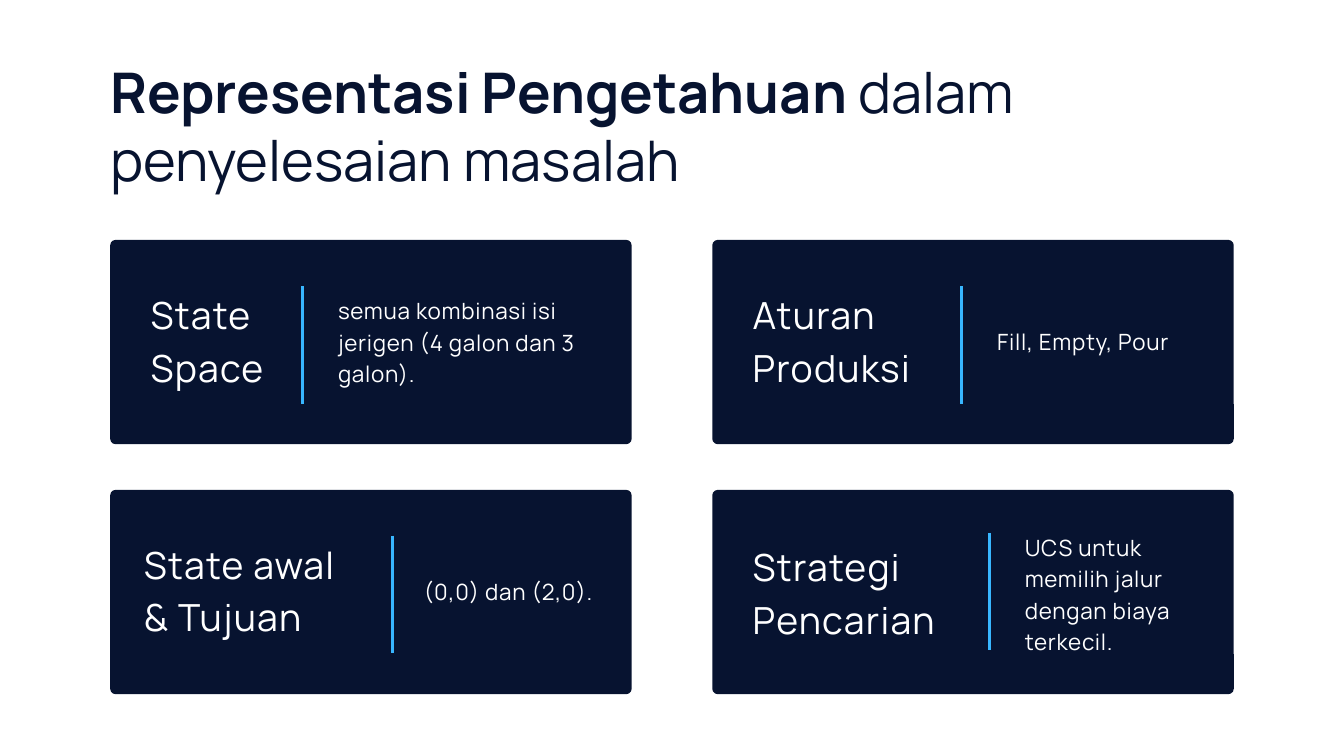
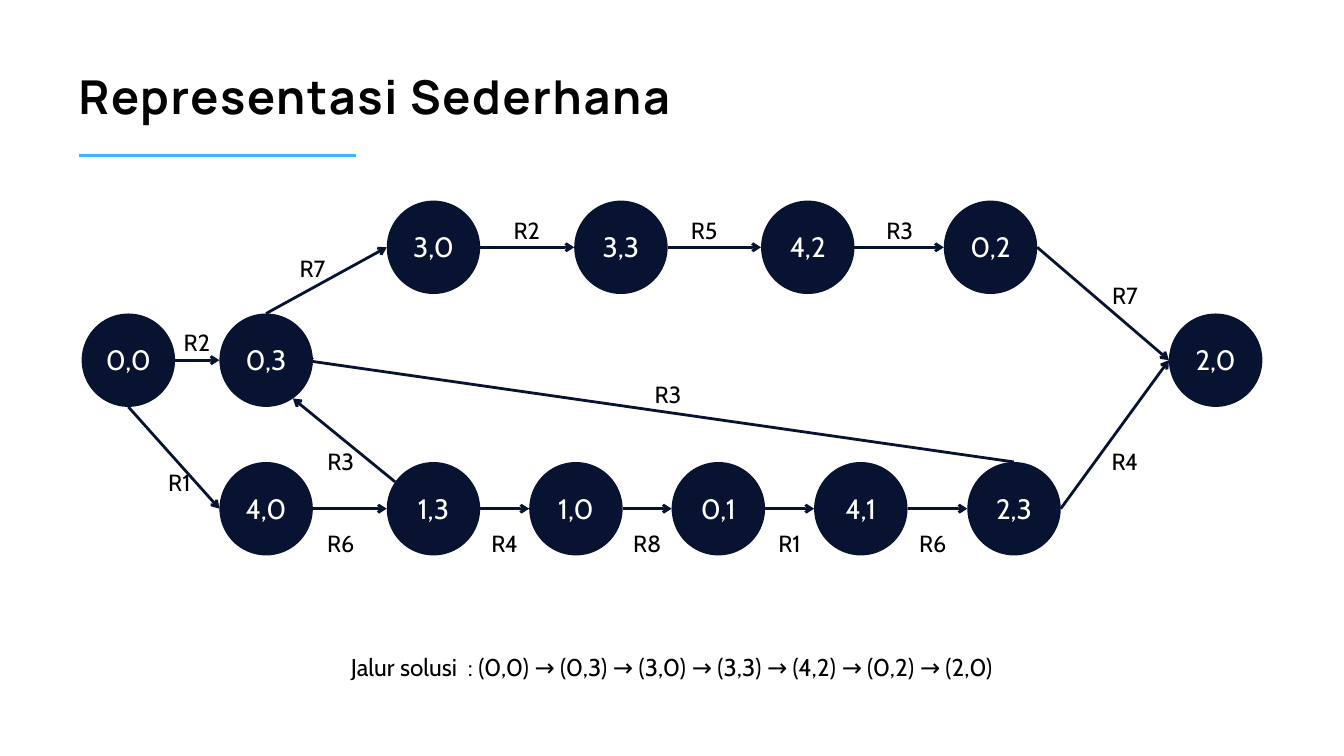
"""Build two slides on knowledge representation and a state graph."""
import math

import pptx
import pptx.dml.color
import pptx.enum.shapes
import pptx.enum.text
import pptx.oxml.ns
import pptx.util
from lxml import etree

Inches = pptx.util.Inches
Pt = pptx.util.Pt
RGBColor = pptx.dml.color.RGBColor
Shape = pptx.enum.shapes.MSO_SHAPE
Align = pptx.enum.text.PP_ALIGN
Anchor = pptx.enum.text.MSO_ANCHOR
qn = pptx.oxml.ns.qn

NAVY = RGBColor(0x07, 0x13, 0x30)
SKY = RGBColor(0x38, 0xB6, 0xFF)
WHITE = RGBColor(0xFF, 0xFF, 0xFF)
BLACK = RGBColor(0, 0, 0)

LEFT, CENTER = Align.LEFT, Align.CENTER
HEAD = {"font": {"name": "Manrope", "size": Pt(60)}, "color": NAVY,
        "lead": 72.6, "align": LEFT}
SUB = {"font": {"name": "Manrope", "size": Pt(50), "bold": True},
       "color": BLACK, "lead": 70, "align": LEFT, "track": 180}
TERM = {"font": {"name": "Manrope", "size": Pt(40)}, "color": WHITE,
        "lead": 56, "align": LEFT, "track": 140}
BODY = {"font": {"name": "Manrope", "size": Pt(24)}, "color": WHITE,
        "lead": 33.6, "align": LEFT, "track": 80}
STATE = {"font": {"name": "Cabin", "size": Pt(30)}, "color": WHITE,
         "lead": 42, "align": CENTER}
RULE = {"font": {"name": "Cabin", "size": Pt(25)}, "color": BLACK,
        "lead": 35, "align": CENTER}
ROUTE = {"font": {"name": "Cabin", "size": Pt(26)}, "color": BLACK,
         "lead": 36.4, "align": CENTER}

CARD_W, CARD_H = 7.76, 3.04
CARD_X, CARD_Y = (1.64, 10.6), (3.57, 7.29)
BAR_H = 1.75

CARDS = [
    (0, 0, "State Space", (2.24, 4.24, 1.97, 1.57), (4.5, 4.26),
     "semua kombinasi isi jerigen (4 galon dan 3 galon).",
     (5.03, 4.36, 4.11, 1.38)),
    (1, 0, "Aturan Produksi", (11.2, 4.24, 2.64, 1.57), (14.31, 4.26),
     "Fill, Empty, Pour", (14.84, 4.82, 2.9, 0.46)),
    (0, 1, "State awal & Tujuan", (2.14, 7.96, 3.31, 1.57), (5.84, 7.97),
     "(0,0) dan (2,0).", (6.31, 8.54, 2.73, 0.46)),
    (1, 1, "Strategi Pencarian", (11.2, 7.99, 3.11, 1.57), (14.72, 7.93),
     "UCS untuk memilih jalur dengan biaya terkecil.",
     (15.25, 7.88, 2.62, 1.84)),
]

RADIUS = 0.695
TOP, MID, LOW = 3.68, 5.36, 7.57
NODES = {
    "0,0": (1.91, MID), "4,0": (3.96, LOW), "0,3": (3.96, MID),
    "1,3": (6.45, LOW), "3,0": (6.45, TOP), "1,0": (8.57, LOW),
    "3,3": (9.24, TOP), "0,1": (10.69, LOW), "4,2": (12.02, TOP),
    "4,1": (12.81, LOW), "0,2": (14.74, TOP), "2,3": (15.09, LOW),
    "2,0": (18.09, MID),
}
EAST, SOUTH, WEST, NORTH = 0, 90, 180, 270
OVER, UNDER = 3.37, 8.04
EDGES = [
    ("0,0", EAST, "0,3", WEST, "R2", (2.93, 5.05)),
    ("0,0", SOUTH, "4,0", WEST, "R1", (2.67, 7.12)),
    ("0,3", NORTH, "3,0", WEST, "R7", (4.65, 3.94)),
    ("3,0", EAST, "3,3", WEST, "R2", (7.84, OVER)),
    ("3,3", EAST, "4,2", WEST, "R5", (10.48, OVER)),
    ("4,2", EAST, "0,2", WEST, "R3", (13.39, OVER)),
    ("0,2", EAST, "2,0", WEST, "R7", (16.74, 4.34)),
    ("4,0", EAST, "1,3", WEST, "R6", (5.07, UNDER)),
    ("1,3", EAST, "1,0", WEST, "R4", (7.51, UNDER)),
    ("1,0", EAST, "0,1", WEST, "R8", (9.63, UNDER)),
    ("0,1", EAST, "4,1", WEST, "R1", (11.75, UNDER)),
    ("4,1", EAST, "2,3", WEST, "R6", (13.88, UNDER)),
    ("2,3", EAST, "2,0", WEST, "R4", (16.74, 6.81)),
    ("1,3", 215, "0,3", 55, "R3", (5.07, 6.81)),
]


def write(frame, runs, look, anchor=Anchor.TOP, pad=(0, 0, 0, 0), wrap=True):
    """Fill a text frame with runs of (text, extra font values)."""
    sides = ("left", "top", "right", "bottom")
    values = {"margin_" + s: Inches(p) for s, p in zip(sides, pad)}
    values.update(auto_size=pptx.enum.text.MSO_AUTO_SIZE.NONE,
                  vertical_anchor=anchor, word_wrap=wrap)
    for key, value in values.items():
        setattr(frame, key, value)
    para = frame.paragraphs[0]
    para.alignment = look["align"]
    para.line_spacing = Pt(look["lead"])
    for text, extra in runs:
        run = para.add_run()
        run.text = text
        for key, value in {**look["font"], **extra}.items():
            setattr(run.font, key, value)
        run.font.color.rgb = look["color"]
        if "track" in look:
            run._r.get_or_add_rPr().set("spc", str(look["track"]))


def add_text(slide, box, text, look, wrap=True):
    """Add a text box without insets."""
    shape = slide.shapes.add_textbox(*map(Inches, box))
    write(shape.text_frame, [(text, {})], look, wrap=wrap)


def add_title(slide, box, runs, look):
    """Place and fill the title placeholder."""
    title = slide.shapes.title
    for key, value in zip(("left", "top", "width", "height"), box):
        setattr(title, key, Inches(value))
    write(title.text_frame, runs, look)


def add_solid(slide, kind, box):
    """Add a plain navy shape."""
    shape = slide.shapes.add_shape(kind, *map(Inches, box))
    shape.shadow.inherit = False
    shape.fill.solid()
    shape.fill.fore_color.rgb = NAVY
    shape.line.fill.background()
    return shape


def add_line(slide, start, end, color, arrow=False):
    """Add a straight line, with an arrowhead at its end if asked."""
    line = slide.shapes.add_connector(
        pptx.enum.shapes.MSO_CONNECTOR.STRAIGHT, *map(Inches, start + end))
    line.line.color.rgb = color
    line.line.width = Pt(3)
    if arrow:
        tail = etree.SubElement(line.line._get_or_add_ln(), qn("a:tailEnd"))
        tail.set("type", "arrow")
    etree.SubElement(line._element.spPr, qn("a:effectLst"))


def add_card(slide, col, row, term, spot, bar, body, area):
    """Add a card with a term, a bar and an explanation."""
    box = (CARD_X[col], CARD_Y[row], CARD_W, CARD_H)
    card = add_solid(slide, Shape.ROUNDED_RECTANGLE, box)
    card.adjustments[0] = 0.08 / CARD_H
    add_line(slide, bar, (bar[0], bar[1] + BAR_H), SKY)
    add_text(slide, spot, term, TERM)
    add_text(slide, area, body, BODY)


def add_node(slide, name):
    """Add the circle of a state."""
    x, y = NODES[name]
    box = (x - RADIUS, y - RADIUS, 2 * RADIUS, 2 * RADIUS)
    node = add_solid(slide, Shape.OVAL, box)
    write(node.text_frame, [(name, {})], STATE, Anchor.MIDDLE, (0, 0, 0, 0.1))


def rim(name, angle, reach=RADIUS):
    """Return the point of a state at a clockwise angle from east."""
    x, y = NODES[name]
    turn = math.radians(angle)
    return x + reach * math.cos(turn), y + reach * math.sin(turn)


def add_rule(slide, text, spot):
    """Add a rule label centred on a spot."""
    x, y = spot
    add_text(slide, (x - 0.22, y - 0.23, 0.44, 0.46), text, RULE, wrap=False)


def draw_cards(slide):
    """Draw the slide of four cards."""
    add_title(slide, (1.64, 0.85, 16.72, 2.06),
              [("Representasi Pengetahuan ", {"bold": True}),
               ("dalam penyelesaian masalah", {"bold": False})], HEAD)
    for card in CARDS:
        add_card(slide, *card)


def draw_graph(slide):
    """Draw the slide of the state graph."""
    add_title(slide, (1.17, 0.87, 9.31, 0.99),
              [("Representasi Sederhana", {})], SUB)
    add_line(slide, (1.17, 2.31), (5.3, 2.31), SKY)
    for name in NODES:
        add_node(slide, name)
    for first, out, last, into, text, spot in EDGES:
        add_line(slide, rim(first, out), rim(last, into), NAVY, True)
        add_rule(slide, text, spot)
    add_line(slide, rim("2,3", NORTH), rim("0,3", EAST, 0.56), NAVY, True)
    add_rule(slide, "R3", (9.94, 5.82))
    add_text(slide, (4.9, 9.63, 10.2, 0.49),
             "Jalur solusi  : (0,0) → (0,3) → (3,0) → (3,3) → (4,2)"
             " → (0,2) → (2,0)", ROUTE)


def main():
    """Build and save the deck."""
    deck = pptx.Presentation()
    deck.slide_width, deck.slide_height = Inches(20), Inches(11.25)
    for draw in (draw_cards, draw_graph):
        draw(deck.slides.add_slide(deck.slide_layouts[5]))
    deck.save("out.pptx")


if __name__ == "__main__":
    main()
